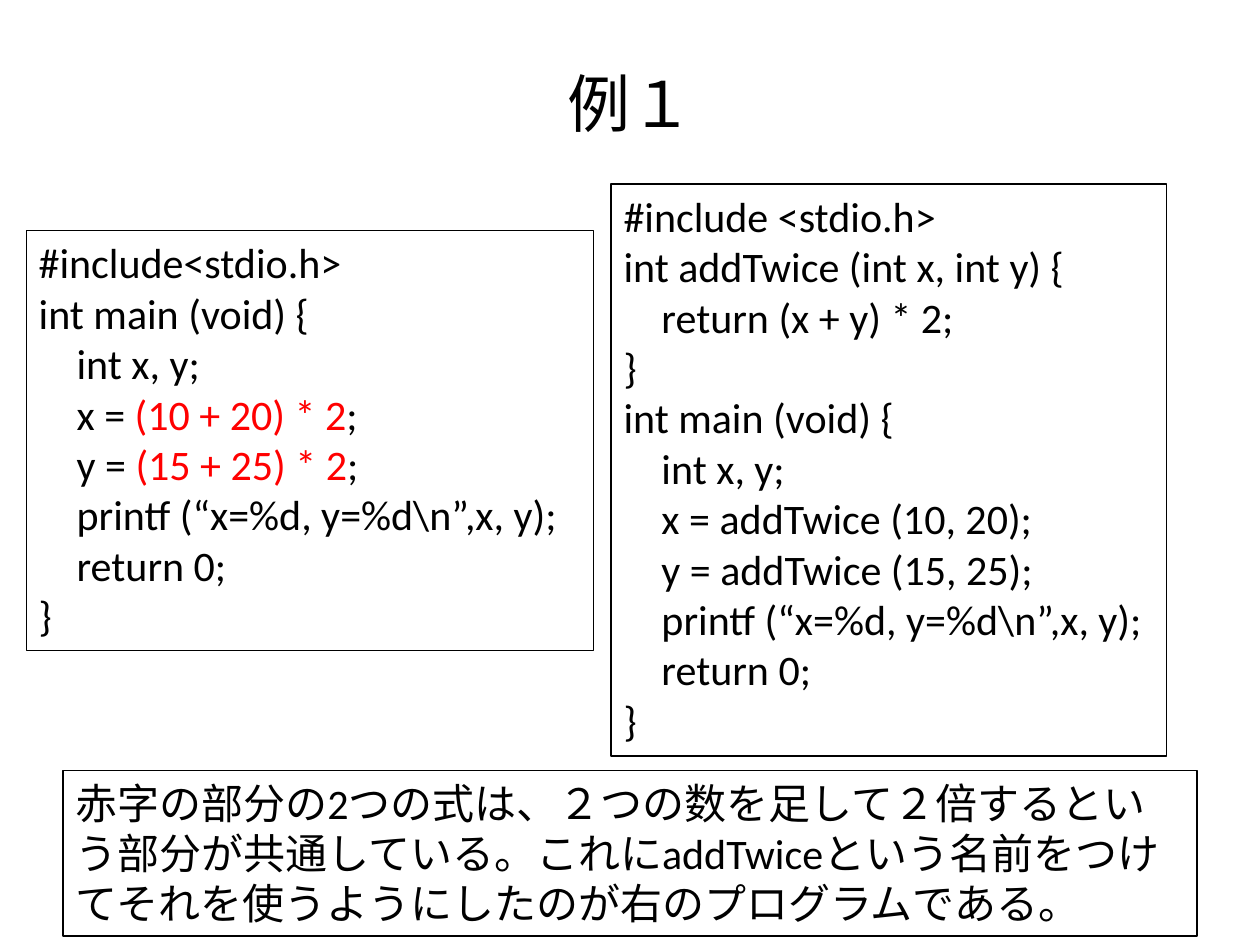
import pptx
import pptx.util
import pptx.dml.color
import pptx.enum.text
from pptx.util import Cm, Pt

COLORS = {"text": "000000", "marked": "FF0000", "border": "000000"}
FONT = "Calibri"


def add_run(p, text, size, color):
    r = p.add_run()
    r.text = text
    r.font.size = Pt(size)
    r.font.name = FONT
    r.font.color.rgb = pptx.dml.color.RGBColor.from_string(COLORS[color])


prs = pptx.Presentation()
prs.slide_width, prs.slide_height = Cm(25.4), Cm(19.05)
s = prs.slides.add_slide(prs.slide_layouts[5])

# Title
title = s.shapes.title
title.left, title.top, title.width, title.height = Cm(1.27), Cm(0.48), Cm(22.86), Cm(3.18)
title.text_frame.vertical_anchor = pptx.enum.text.MSO_ANCHOR.MIDDLE
p = title.text_frame.paragraphs[0]
p.alignment = pptx.enum.text.PP_ALIGN.CENTER
add_run(p, "例１", 36, "text")

# Box contents; text between bars is marked in red
function_code = r"""#include <stdio.h>
int addTwice (int x, int y) {
    return (x + y) * 2;
}
int main (void) {
    int x, y;
    x = addTwice (10, 20);
    y = addTwice (15, 25);
    printf (“x=%d, y=%d\n”,x, y);
    return 0;
}"""
explanation = (
    "赤字の部分の2つの式は、２つの数を足して２倍するという部分が共通している。"
    "これにaddTwiceという名前をつけてそれを使うようにしたのが右のプログラムである。"
)
plain_code = r"""#include<stdio.h>
int main (void) {
    int x, y;
    x = |(10 + 20) * 2|;
    y = |(15 + 25) * 2|;
    printf (“x=%d, y=%d\n”,x, y);
    return 0;
}"""

# Framed boxes: left, top, width, height in cm, then text
boxes = [
    (12.32, 3.71, 11.2, 11.53, function_code),
    (1.27, 15.54, 22.86, 3.33, explanation),
    (0.53, 4.65, 11.43, 8.46, plain_code),
]
for left, top, width, height, text in boxes:
    sp = s.shapes.add_textbox(Cm(left), Cm(top), Cm(width), Cm(height))
    sp.line.color.rgb = pptx.dml.color.RGBColor.from_string(COLORS["border"])
    sp.line.width = Pt(0.75)
    tf = sp.text_frame
    tf.word_wrap = True
    tf.auto_size = pptx.enum.text.MSO_AUTO_SIZE.SHAPE_TO_FIT_TEXT
    for i, line in enumerate(text.split("\n")):
        p = tf.add_paragraph() if i else tf.paragraphs[0]
        for j, part in enumerate(line.split("|")):
            add_run(p, part, 24, "marked" if j % 2 else "text")

prs.save("out.pptx")
